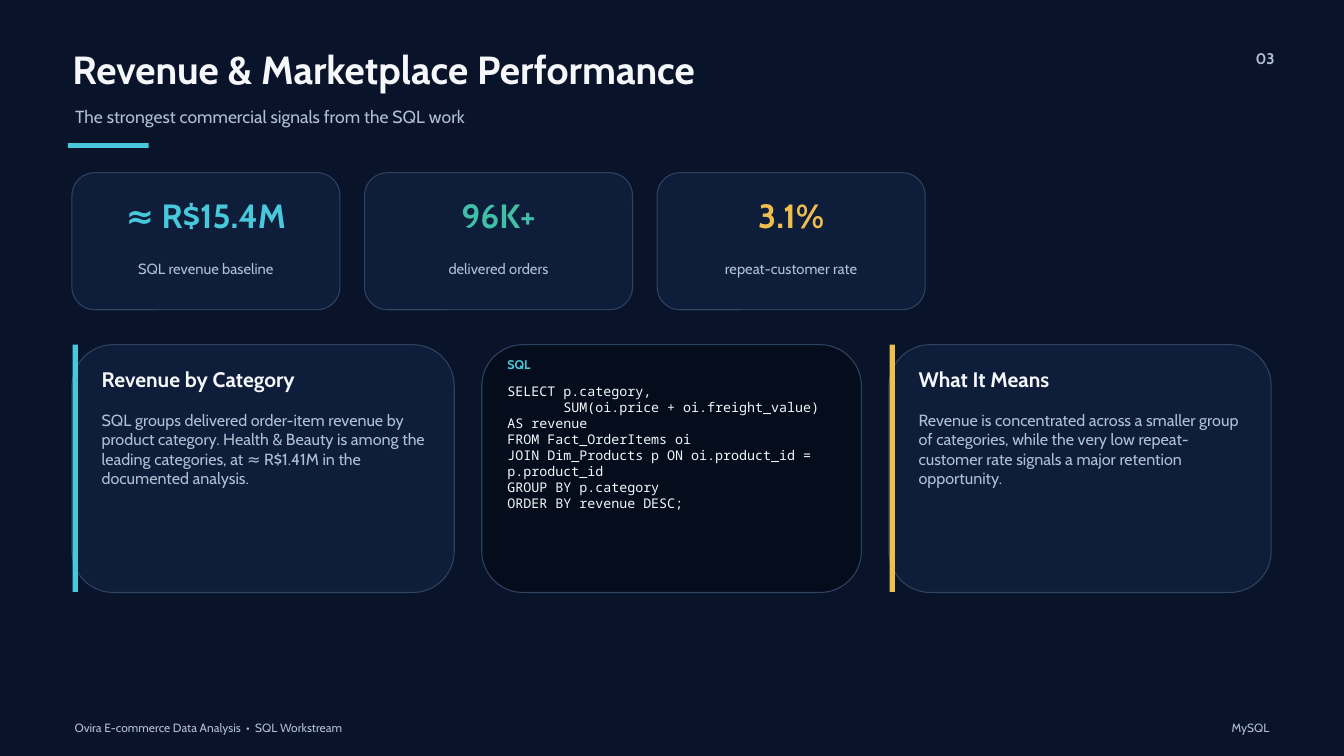
from dataclasses import dataclass

from pptx import Presentation
from pptx.dml.color import RGBColor
from pptx.enum.shapes import MSO_SHAPE
from pptx.enum.text import PP_ALIGN
from pptx.util import Cm, Pt

RECT, ROUNDED = MSO_SHAPE.RECTANGLE, MSO_SHAPE.ROUNDED_RECTANGLE
LEFT, CENTER, RIGHT = PP_ALIGN.LEFT, PP_ALIGN.CENTER, PP_ALIGN.RIGHT


@dataclass(frozen=True)
class Style:
    size: float
    leading: float
    color: str
    bold: bool = False
    font: str = "Cabin"


@dataclass(frozen=True)
class Theme:
    # Colours
    background: str = "09142B"
    card: str = "0E1D3A"
    code_card: str = "050D1D"
    border: str = "2F4260"
    cyan: str = "48C9DB"
    green: str = "41BEA6"
    amber: str = "EFBE4C"
    white: str = "F5F7FA"
    muted: str = "B1BED3"
    # Type styles
    title: Style = Style(42, 50.4, white, True)
    subtitle: Style = Style(18.8, 22.5, muted)
    number: Style = Style(16.5, 19.8, muted, True)
    label: Style = Style(15.8, 18.9, muted)
    heading: Style = Style(22.5, 27, white, True)
    body: Style = Style(17.3, 20.7, muted)
    tag: Style = Style(13.5, 16.2, cyan, True)
    code: Style = Style(14.3, 17.1, white, font="Noto Sans Mono")
    footer: Style = Style(12.8, 15.3, muted)

    def value(self, color):
        return Style(36, 43.2, color, True)


THEME = Theme()

METRICS = [
    ("≈ R$15.4M", "SQL revenue baseline", THEME.cyan),
    ("96K+", "delivered orders", THEME.green),
    ("3.1%", "repeat-customer rate", THEME.amber),
]
CATEGORY_TEXT = (
    "SQL groups delivered order-item revenue by product category. "
    "Health & Beauty is among the leading categories, at ≈ R$1.41M "
    "in the documented analysis."
)
MEANING_TEXT = (
    "Revenue is concentrated across a smaller group of categories, while "
    "the very low repeat-customer rate signals a major retention opportunity."
)
QUERY = """SELECT p.category,
       SUM(oi.price + oi.freight_value) AS revenue
FROM Fact_OrderItems oi
JOIN Dim_Products p ON oi.product_id = p.product_id
GROUP BY p.category
ORDER BY revenue DESC;"""


def add_text(s, x, y, w, h, text, style, align=LEFT):
    tf = s.shapes.add_textbox(Cm(x), Cm(y), Cm(w), Cm(h)).text_frame
    tf.word_wrap = True
    tf.margin_left = tf.margin_right = tf.margin_top = tf.margin_bottom = 0
    tf.text = text
    for p in tf.paragraphs:
        p.alignment = align
        p.line_spacing = Pt(style.leading)
        for r in p.runs:
            r.font.name = style.font
            r.font.size = Pt(style.size)
            r.font.bold = style.bold
            r.font.color.rgb = RGBColor.from_string(style.color)


def add_box(s, kind, x, y, w, h, fill, border=None):
    sp = s.shapes.add_shape(kind, Cm(x), Cm(y), Cm(w), Cm(h))
    sp.shadow.inherit = False
    sp.fill.solid()
    sp.fill.fore_color.rgb = RGBColor.from_string(fill)
    if border:
        sp.line.color.rgb = RGBColor.from_string(border)
        sp.line.width = Pt(1.13)
    else:
        sp.line.fill.background()


def add_header(s, x, y, w):
    add_text(s, x, y, w, 1.85, "Revenue & Marketplace Performance", THEME.title)
    add_text(s, x + 0.1, y + 2.28, w - 0.38, 1.09,
             "The strongest commercial signals from the SQL work", THEME.subtitle)
    add_text(s, x + 43.84, y + 0.12, 1.6, 0.89, "03", THEME.number, RIGHT)
    add_box(s, RECT, x - 0.17, y + 3.68, 3.05, 0.18, THEME.cyan)


def add_metric(s, x, y, w, h, value, label, color):
    pad = 0.65
    add_box(s, ROUNDED, x, y, w, h, THEME.card, THEME.border)
    add_text(s, x + pad, y + 0.84, w - 2 * pad, 1.65, value,
             THEME.value(color), CENTER)
    add_text(s, x + pad, y + 3.28, w - 2 * pad, 1.09, label, THEME.label, CENTER)


def add_insight(s, x, y, w, h, heading, body, accent):
    pad = 1.12
    add_box(s, ROUNDED, x, y, w, h, THEME.card, THEME.border)
    add_box(s, RECT, x + 0.03, y, 0.2, h - 0.02, accent)
    add_text(s, x + pad, y + 0.81, 12.37, 0.97, heading, THEME.heading)
    add_text(s, x + pad, y + 2.49, 12.37, 6.12, body, THEME.body)


def add_query(s, x, y, w, h):
    pad = 0.97
    add_box(s, ROUNDED, x, y, w, h, THEME.code_card, THEME.border)
    add_text(s, x + pad, y + 0.48, 1.02, 0.53, "SQL", THEME.tag)
    add_text(s, x + pad, y + 1.47, w - 2 * pad, 7.37, QUERY, THEME.code)


def add_footer(s, x, y, w):
    add_text(s, x, y, 31.9, 0.53,
             "Ovira E-commerce Data Analysis  •  SQL Workstream", THEME.footer)
    add_text(s, x + w - 3.68, y, 3.68, 0.53, "MySQL", THEME.footer, RIGHT)


def main():
    prs = Presentation()
    prs.slide_width, prs.slide_height = Cm(50.8), Cm(28.58)
    s = prs.slides.add_slide(prs.slide_layouts[6])
    s.background.fill.solid()
    s.background.fill.fore_color.rgb = RGBColor.from_string(THEME.background)

    add_header(s, 2.74, 1.73, 43.33)

    # Metric cards
    left, card_w, card_gap = 2.72, 10.13, 0.93
    for i, metric in enumerate(METRICS):
        add_metric(s, left + i * (card_w + card_gap), 6.53, card_w, 5.18, *metric)

    # Insight panels on either side of the query
    top, height, gap = 13.03, 9.37, 1.04
    insight_w, query_w = 14.45, 14.35
    query_x = left + insight_w + gap
    add_insight(s, left, top, insight_w, height,
                "Revenue by Category", CATEGORY_TEXT, THEME.cyan)
    add_query(s, query_x, top, query_w, height)
    add_insight(s, query_x + query_w + gap, top, insight_w, height,
                "What It Means", MEANING_TEXT, THEME.amber)

    add_footer(s, 2.82, 27.25, 45.16)
    prs.save("out.pptx")


if __name__ == "__main__":
    main()
